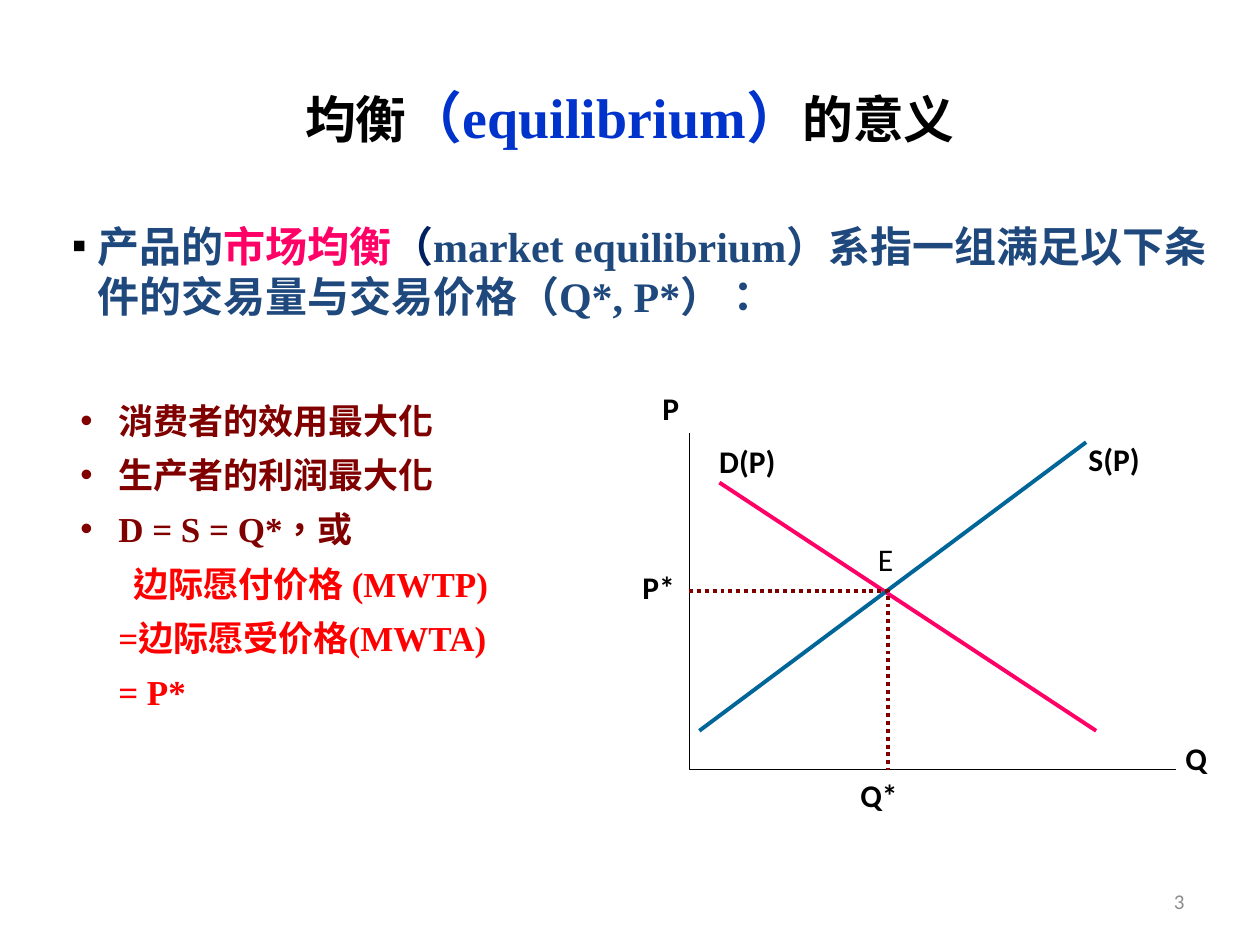
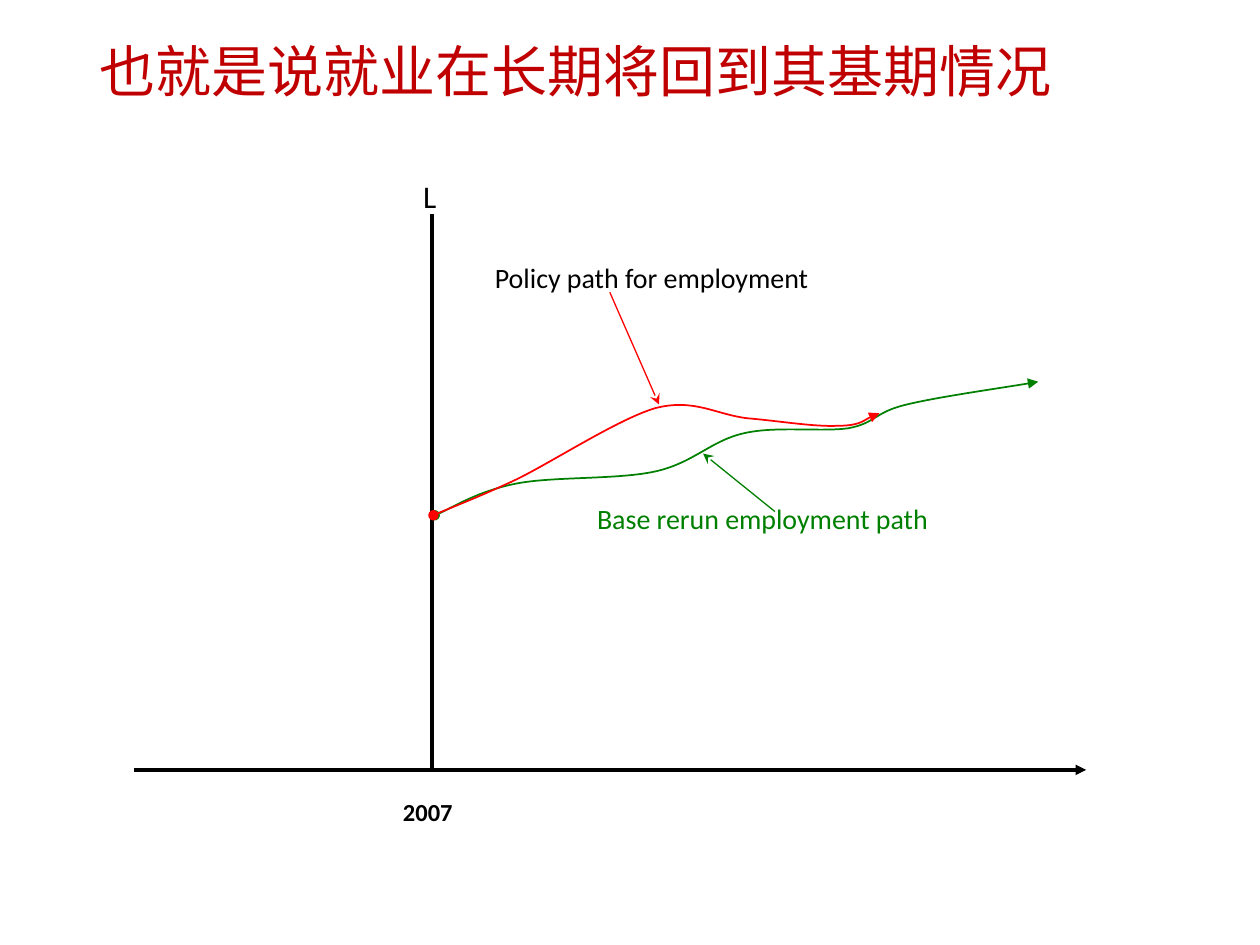
from lxml import etree
from pptx import Presentation
from pptx.dml.color import RGBColor
from pptx.enum.dml import MSO_LINE
from pptx.enum.lang import MSO_LANGUAGE_ID
from pptx.enum.shapes import MSO_CONNECTOR
from pptx.enum.text import MSO_ANCHOR, MSO_AUTO_SIZE, PP_ALIGN
from pptx.oxml.ns import qn
from pptx.util import Inches, Pt

LEFT, CENTER, RIGHT = PP_ALIGN.LEFT, PP_ALIGN.CENTER, PP_ALIGN.RIGHT
TOP, MIDDLE = MSO_ANCHOR.TOP, MSO_ANCHOR.MIDDLE
FIXED, GROW = MSO_AUTO_SIZE.NONE, MSO_AUTO_SIZE.SHAPE_TO_FIT_TEXT
DOTTED = MSO_LINE.ROUND_DOT
STRAIGHT = MSO_CONNECTOR.STRAIGHT
CHINESE = MSO_LANGUAGE_ID.TRADITIONAL_CHINESE
TITLE_ONLY = 5

LATIN = "Calibri"
SERIF = "Times New Roman"
HAN = "Noto Sans CJK SC"

COLORS = {
    "black": "000000",
    "gray": "8C8C8C",
    "blue": "0033CC",
    "navy": "1F497D",
    "dark_navy": "002060",
    "pink": "FF0066",
    "teal": "006699",
    "maroon": "800000",
    "red": "FF0000",
    "dark_red": "C00000",
    "green": "008000",
}


def color(name):
    return RGBColor.from_string(COLORS[name])


def add_span(para, text, size=18, font=LATIN, fill="black", bold=False):
    span = para.add_run()
    span.text = text
    span.font.size = Pt(size)
    span.font.bold = bold
    span.font.name = font
    span.font.color.rgb = color(fill)
    if font != LATIN:
        span.font.language_id = CHINESE
        east = etree.SubElement(span.font._element, qn("a:ea"))
        east.set("typeface", HAN)


def add_bullet(para, symbol, fill=None):
    properties = para._p.get_or_add_pPr()
    if fill:
        tint = etree.SubElement(properties, qn("a:buClr"))
        etree.SubElement(tint, qn("a:srgbClr")).set("val", COLORS[fill])
    etree.SubElement(properties, qn("a:buFont")).set("typeface", "Arial")
    etree.SubElement(properties, qn("a:buChar")).set("char", symbol)


def indent(para, margin, first=0):
    properties = para._p.get_or_add_pPr()
    properties.set("marL", str(Inches(margin)))
    properties.set("indent", str(Inches(first)))


def add_box(page, left, top, width, height, wrap=True, anchor=TOP):
    box = page.shapes.add_textbox(
        Inches(left), Inches(top), Inches(width), Inches(height))
    frame = box.text_frame
    frame.word_wrap = wrap
    frame.auto_size = FIXED if wrap else GROW
    frame.vertical_anchor = anchor
    return frame


def add_label(page, text, left, top, width=0.4, height=0.4, wrap=False,
              align=LEFT, anchor=TOP, **style):
    frame = add_box(page, left, top, width, height, wrap, anchor)
    para = frame.paragraphs[0]
    para.alignment = align
    add_span(para, text, **style)


def add_page(deck, title_area, title_spans):
    page = deck.slides.add_slide(deck.slide_layouts[TITLE_ONLY])
    title = page.shapes.title
    title.left, title.top, title.width, title.height = map(Inches, title_area)
    frame = title.text_frame
    frame.auto_size = FIXED
    frame.vertical_anchor = MIDDLE
    para = frame.paragraphs[0]
    para.alignment = CENTER
    for text, style in title_spans:
        add_span(para, text, **style)
    return page


def style_line(shape, fill, width, dash=None, head=None, tail=None):
    line = shape.line
    line.color.rgb = color(fill)
    line.width = Pt(width)
    if dash:
        line.dash_style = dash
    outline = line._get_or_add_ln()
    for tag, kind in (("a:headEnd", head), ("a:tailEnd", tail)):
        if kind:
            etree.SubElement(outline, qn(tag)).set("type", kind)


def add_line(page, start, end, fill, width, **ends):
    line = page.shapes.add_connector(STRAIGHT, *map(Inches, start + end))
    style_line(line, fill, width, **ends)
    etree.SubElement(line._element.spPr, qn("a:effectLst"))


def add_outline(page, points, fill, width, **ends):
    start, *others = [tuple(map(Inches, point)) for point in points]
    builder = page.shapes.build_freeform(*start)
    builder.add_line_segments(others, close=False)
    shape = builder.convert_to_shape()
    shape.fill.background()
    shape.shadow.inherit = False
    style_line(shape, fill, width, **ends)
    return shape


def add_curve(page, points, fill):
    shape = add_outline(page, points, fill, 1, head="oval", tail="triangle")
    segments = list(shape._element.iter(qn("a:lnTo")))
    for first in range(0, len(segments), 3):
        bend = etree.Element(qn("a:cubicBezTo"))
        segments[first].addprevious(bend)
        for segment in segments[first:first + 3]:
            bend.append(segment[0])
            segment.getparent().remove(segment)


def add_definition(page):
    frame = add_box(page, 0.5, 1.75, 9.15, 1.13)
    frame.margin_left = frame.margin_right = Inches(0.07)
    frame.margin_top = frame.margin_bottom = 0
    para = frame.paragraphs[0]
    para.line_spacing = Pt(28.6)
    indent(para, 0.2, -0.2)
    add_bullet(para, "▪", "black")
    for text, fill in (
        ("产品的", "navy"),
        ("市场均衡", "pink"),
        ("（", "dark_navy"),
        ("market equilibrium）系指一组满足以下条件的交易量与交易价格（Q*, P*）：", "navy"),
    ):
        add_span(para, text, size=24, font=SERIF, fill=fill, bold=True)


def add_conditions(page):
    frame = add_box(page, 0.27, 3.12, 4.41, 2.71)
    conditions = (
        ([("消费者的效用最大化", HAN)], True, 0.57),
        ([("生产者的利润最大化", HAN)], True, 0.57),
        ([("D = S = Q*", SERIF), ("，或", HAN)], True, 0.57),
        ([("边际愿付价格 (MWTP)", SERIF)], False, 0.69),
        ([("=边际愿受价格(MWTA)", SERIF)], False, 0.57),
        ([("= P*", SERIF)], False, 0.57),
    )
    for index, (spans, bulleted, margin) in enumerate(conditions):
        para = frame.add_paragraph() if index else frame.paragraphs[0]
        para.line_spacing = Pt(24)
        para.space_before = Pt(7 if index else 0)
        indent(para, margin, -0.3 if bulleted else 0)
        if bulleted:
            add_bullet(para, "•")
        for text, font in spans:
            add_span(para, text, size=20, font=font, bold=True,
                     fill="maroon" if bulleted else "red")


def add_market_diagram(page):
    left, bottom = 5.47, 6.11
    price, quantity = 4.69, 7.05
    add_outline(page, [(left, 3.44), (left, bottom), (9.33, bottom)],
                "black", 0.75)
    add_line(page, (5.71, 3.83), (8.7, 5.8), "pink", 2.25)
    add_line(page, (5.55, 5.8), (8.62, 3.51), "teal", 2.25)
    add_outline(page, [(left, price), (quantity, price), (quantity, bottom)],
                "maroon", 2.25, dash=DOTTED)
    for text, x, y, width in (
        ("Q", 9.31, 5.82, 0.4),
        ("P", 5.16, 3.04, 0.37),
        ("P*", 5, 4.46, 0.48),
        ("Q*", 6.73, 6.11, 0.52),
        ("D(P)", 5.61, 3.46, 0.72),
        ("S(P)", 8.54, 3.44, 0.7),
    ):
        add_label(page, text, x, y, width, bold=True)
    add_label(page, "E", 6.87, 4.24, 0.37)


def build_equilibrium(deck):
    heading = {"size": 29, "font": SERIF, "bold": True}
    page = add_page(deck, (0.5, 0.3, 9, 1.25), [
        ("均衡", heading),
        ("（equilibrium）", {**heading, "size": 32, "fill": "blue"}),
        ("的意义", heading),
    ])
    add_label(page, "3", 7.17, 6.95, 2.33, wrap=True, align=RIGHT,
              anchor=MIDDLE, size=12, fill="gray")
    add_definition(page)
    add_conditions(page)
    add_market_diagram(page)


def build_employment(deck):
    page = add_page(deck, (0.2, 0.05, 8.74, 1.02), [
        ("也就是说就业在长期将回到其基期情况",
         {"size": 32, "font": HAN, "fill": "dark_red"}),
    ])
    add_label(page, "2007", 3.1, 6.28, 0.77, 0.33, wrap=True,
              size=14, bold=True)
    add_line(page, (1.06, 6.11), (8.62, 6.11), "black", 2, tail="triangle")
    add_line(page, (3.43, 6.11), (3.43, 1.7), "black", 2)
    add_label(page, "L", 3.26, 1.36, 0.62, wrap=True)
    add_label(page, "Policy path for employment", 3.83, 2.02, 3.23, 0.37,
              wrap=True, size=16)
    add_line(page, (4.84, 2.32), (5.23, 3.21), "red", 0.75, tail="stealth")
    base_path = [
        (3.45, 4.09), (3.56, 4.05), (3.79, 3.9), (4.09, 3.84),
        (4.38, 3.78), (4.91, 3.81), (5.21, 3.74),
        (5.51, 3.67), (5.64, 3.5), (5.9, 3.44),
        (6.15, 3.38), (6.51, 3.43), (6.73, 3.4),
        (6.95, 3.36), (6.94, 3.27), (7.2, 3.21),
        (7.45, 3.15), (8.02, 3.07), (8.24, 3.03),
    ]
    policy_path = [
        (3.44, 4.09), (3.55, 4.04), (3.79, 3.95), (4.09, 3.81),
        (4.38, 3.67), (4.9, 3.33), (5.2, 3.24),
        (5.51, 3.16), (5.68, 3.29), (5.93, 3.32),
        (6.17, 3.34), (6.47, 3.39), (6.65, 3.38),
        (6.82, 3.38), (6.91, 3.3), (6.98, 3.28),
    ]
    add_curve(page, base_path, "green")
    add_curve(page, policy_path, "red")
    add_label(page, "Base rerun employment path", 4.64, 3.93, 3.88, 0.37,
              wrap=True, size=16, fill="green")
    add_line(page, (6.15, 4.06), (5.58, 3.6), "green", 0.75, tail="stealth")


def main():
    deck = Presentation()
    deck.slide_width, deck.slide_height = Inches(10), Inches(7.5)
    build_equilibrium(deck)
    build_employment(deck)
    deck.save("out.pptx")


if __name__ == "__main__":
    main()
